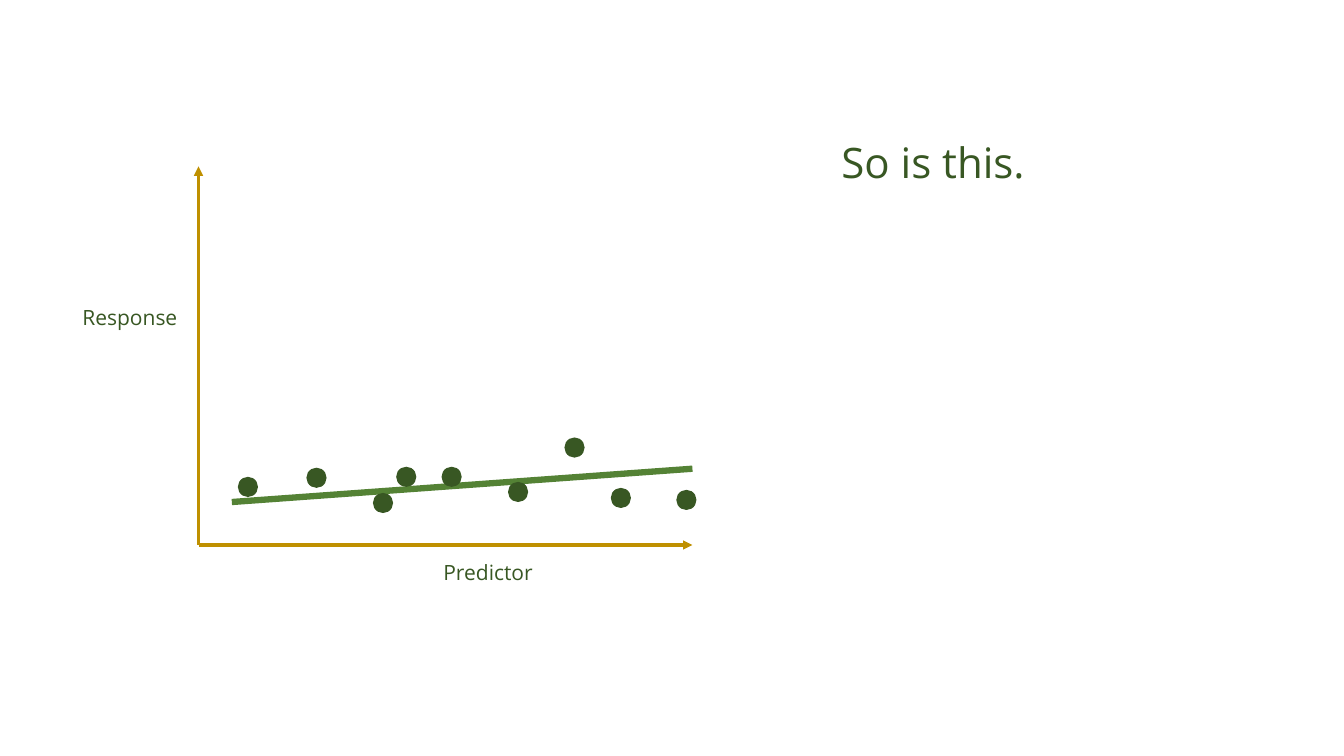
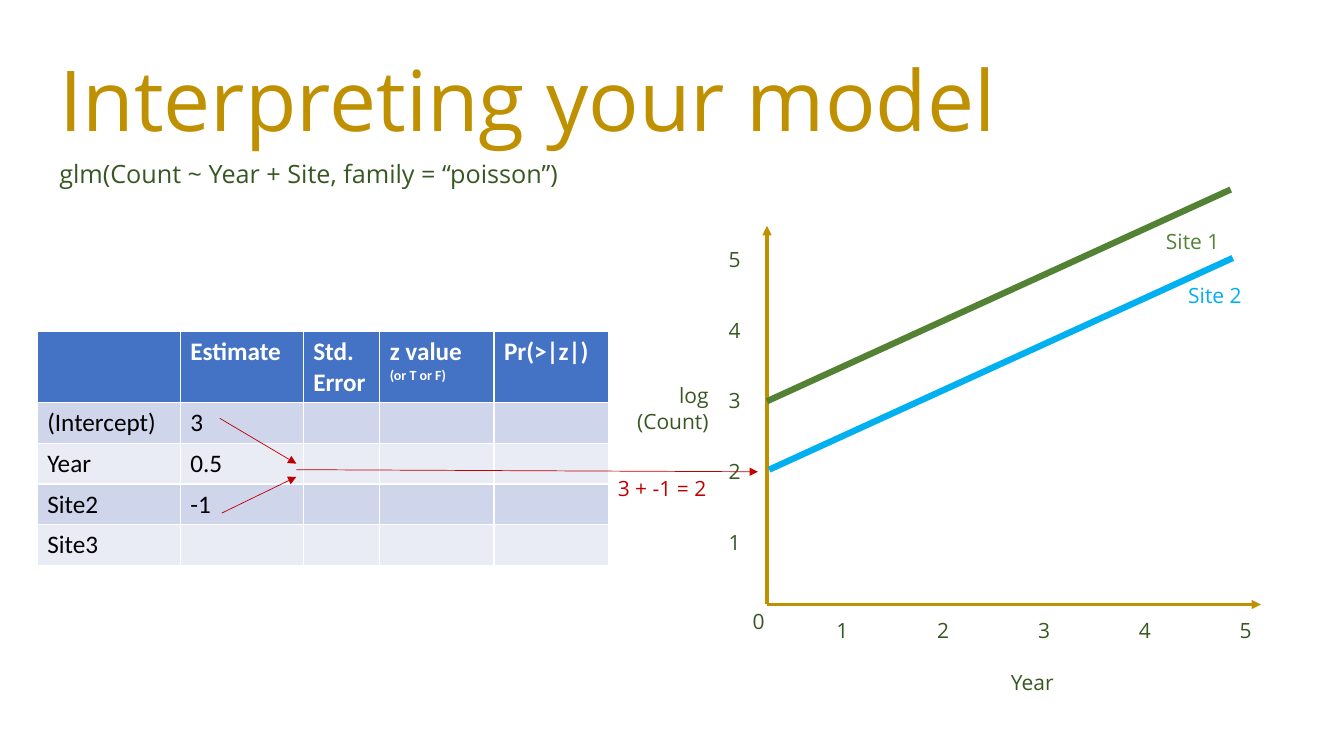
from lxml.etree import SubElement
from pptx import Presentation
from pptx.dml.color import RGBColor as RGB
from pptx.enum.shapes import MSO_CONNECTOR as LINK, MSO_SHAPE as SHAPE
from pptx.enum.text import MSO_AUTO_SIZE as FIT, PP_ALIGN as ALIGN
from pptx.oxml.ns import qn
from pptx.util import Pt

GOLD = RGB(0xBF, 0x90, 0x00)
DARK = RGB(0x38, 0x57, 0x23)
GREEN = RGB(0x54, 0x82, 0x35)
BLUE = RGB(0x00, 0xB0, 0xF0)
RED = RGB(0xC0, 0x00, 0x00)
WHITE = RGB(0xFF, 0xFF, 0xFF)
BLACK = RGB(0x00, 0x00, 0x00)
HEAD = RGB(0x44, 0x72, 0xC4)
BANDS = [RGB(0xE9, 0xEB, 0xF5), RGB(0xCF, 0xD5, 0xEA)]


def label(slide, text, x, y, w, h=25.2, size=15, color=DARK, align=ALIGN.LEFT):
    box = slide.shapes.add_textbox(Pt(x), Pt(y), Pt(w), Pt(h))
    frame = box.text_frame
    frame.text = text
    for key, val in {"word_wrap": True, "auto_size": FIT.SHAPE_TO_FIT_TEXT}.items():
        setattr(frame, key, val)
    for para in frame.paragraphs:
        para.alignment = align
        for run in para.runs:
            for key, val in {"name": "Open Sans", "size": Pt(size)}.items():
                setattr(run.font, key, val)
            run.font.color.rgb = color


def line(slide, start, end, color, width, arrow=False):
    link = slide.shapes.add_connector(LINK.STRAIGHT, *map(Pt, start + end))
    link.line.width = Pt(width)
    link.line.color.rgb = color
    props = link.element.spPr
    if arrow:
        SubElement(props.find(qn("a:ln")), qn("a:tailEnd"), type="triangle")
    SubElement(props, qn("a:effectLst"))


deck = Presentation()
deck.slide_width, deck.slide_height = Pt(960), Pt(540)
plot, model = [deck.slides.add_slide(deck.slide_layouts[6]) for _ in range(2)]

# Axes shared by both slides
for slide, x, y in [(plot, 141.8, 389.3), (model, 547.9, 431.8)]:
    line(slide, (x, y), (x + 352.8, y), GOLD, 2.25, True)
    line(slide, (x, y), (x, y - 270.4), GOLD, 2.25, True)

# Slide 1: scatter with a weak trend
label(plot, "Predictor", 309.6, 396, 135.4)
label(plot, "Response", 51.8, 213.8, 90.7)
line(plot, (165.6, 358.6), (494.6, 334.8), GREEN, 4.5)
DOT = 14.4
for x, y in [(169.9, 340.6), (218.9, 334.1), (266.4, 352.1), (283, 333.4),
             (315.4, 333.4), (403.2, 312.5), (362.9, 344.2), (483.1, 349.9),
             (436.3, 348.5)]:
    dot = plot.shapes.add_shape(SHAPE.OVAL, Pt(x), Pt(y), Pt(DOT), Pt(DOT))
    dot.shadow.inherit = False
    dot.fill.solid()
    dot.fill.fore_color.rgb = DARK
    dot.line.fill.background()
label(plot, "So is this.", 594, 94.3, 302.4, 43.9, 30)

# Slide 2: heading and formula
label(model, "Interpreting your model", 35.3, 30.2, 889.2, 79.9, 60, GOLD)
label(model, "glm(Count ~ Year + Site, family = “poisson”)", 35.3, 109.4, 487.4, 28.8, 18)

# Coefficient table
rows = [["", "Estimate", "Std. Error", "z value ", "Pr(>|z|)"],
        ["(Intercept)", "3"], ["Year", "0.5"], ["Site2", "-1"], ["Site3"]]
cols = [102.2, 87.8, 54.7, 81.6, 81.6]
grid = model.shapes.add_table(len(rows), len(cols), Pt(26.6), Pt(236.9),
                              Pt(sum(cols)), Pt(167.2)).table
for col, width in zip(grid.columns, cols):
    col.width = Pt(width)
for r, row in enumerate(rows):
    grid.rows[r].height = Pt(29.2 if r else 50.4)
    for c in range(len(cols)):
        cell = grid.cell(r, c)
        cell.fill.solid()
        cell.fill.fore_color.rgb = BANDS[r % 2] if r else HEAD
        if c >= len(row) or not row[c]:
            continue
        para = cell.text_frame.paragraphs[0]
        parts = [(row[c], 18)]
        if row[c] == "z value ":
            parts.append(("(or T or F)", 10))
        for text, size in parts:
            run = para.add_run()
            run.text = text
            form = {"name": "Calibri", "size": Pt(size), "bold": r == 0}
            for key, val in form.items():
                setattr(run.font, key, val)
            run.font.color.rgb = BLACK if r else WHITE

# Axis names and ticks
label(model, "Year", 715, 474.5, 135.4)
label(model, "log\n(Count)", 422.6, 270, 90.7, 43.9, align=ALIGN.RIGHT)
label(model, "0", 530.6, 431.3, 28.8)
for n in range(5):
    label(model, str(n + 1), 513.4, 374.4 - 50.4 * n, 28.8)
    label(model, str(n + 1), 590.4 + 72 * n, 437.8, 28.8)

# Fitted lines, one for each site
for name, color, start, x, y in [("Site 1", GREEN, (547.9, 286.6), 825.8, 159.8),
                                 ("Site 2", BLUE, (549.4, 335.5), 841.7, 198)]:
    line(model, start, (start[0] + 331.2, start[1] - 151.2), color, 4.5)
    label(model, name, x, y, 72, color=color)

# Sum of the two estimates, led to the axis
label(model, "3 + -1 = 2", 434.2, 336.2, 108, color=RED)
for start, end in [((211.7, 335.5), (541.4, 337)), ((157, 298.8), (211.7, 331.2)),
                   ((158.4, 366.5), (211.7, 340.6))]:
    line(model, start, end, RED, 0.5, True)

deck.save("out.pptx")
